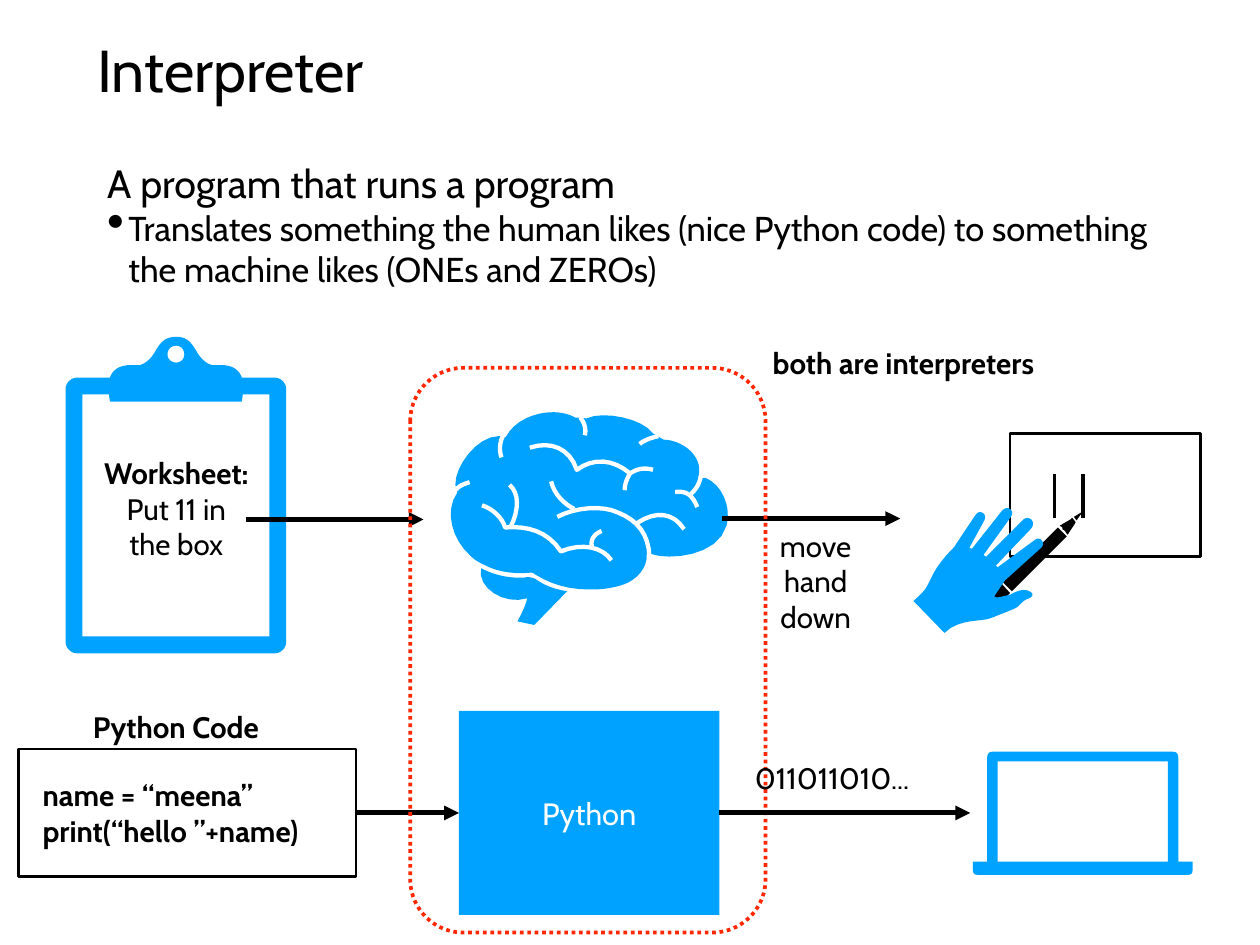
from lxml.etree import SubElement
from pptx import Presentation
from pptx.dml.color import RGBColor
from pptx.enum.dml import MSO_LINE
from pptx.enum.shapes import MSO_CONNECTOR, MSO_SHAPE
from pptx.enum.text import MSO_ANCHOR, PP_ALIGN
from pptx.oxml.ns import qn
from pptx.util import Inches, Pt

BLACK = RGBColor(0x00, 0x00, 0x00)
WHITE = RGBColor(0xFF, 0xFF, 0xFF)
BLUE = RGBColor(0x00, 0xA2, 0xFF)
RED = RGBColor(0xFF, 0x26, 0x00)
FONT = "Cabin"
CURVE_STEPS = 8

# Icon outlines in inches: M starts a contour, L takes points, C takes triples.
CLIPBOARD = """
M 1.99,3.8 C 1.87,3.8 1.82,3.85 1.76,3.95 1.71,4.05 1.62,4.12 1.56,4.12
1.53,4.12 1.47,4.12 1.44,4.12 1.33,4.13 1.27,4.18 1.24,4.26 L 0.87,4.26
C 0.8,4.26 0.74,4.32 0.74,4.39 L 0.74,7.24 C 0.74,7.31 0.8,7.37 0.87,7.37
L 3.1,7.37 C 3.17,7.37 3.23,7.31 3.23,7.24 L 3.23,4.39
C 3.23,4.32 3.17,4.26 3.1,4.26 L 2.73,4.26 C 2.7,4.18 2.64,4.13 2.53,4.12
2.5,4.12 2.44,4.12 2.41,4.12 2.35,4.12 2.26,4.05 2.21,3.95 2.15,3.85 2.1,3.8 1.99,3.8
M 1.99,3.9 C 2.04,3.9 2.08,3.94 2.08,4 2.08,4.05 2.04,4.09 1.99,4.09
1.93,4.09 1.89,4.05 1.89,4 1.89,3.94 1.93,3.9 1.99,3.9
M 0.93,4.45 L 1.23,4.45 1.24,4.53 2.73,4.53 2.74,4.45 3.04,4.45 3.04,7.18 0.93,7.18
"""
BRAIN = """
M 6.24,4.65 C 6.03,4.65 5.8,4.75 5.71,4.93 L 5.63,4.92
C 5.38,4.92 5.13,5.27 5.14,5.47 L 5.16,5.56 C 5.01,5.77 5.11,6.09 5.3,6.26
5.33,6.29 5.36,6.32 5.44,6.36 5.65,6.48 5.89,6.47 5.99,6.46
6.01,6.46 6.03,6.47 6.04,6.48 6.08,6.5 6.3,6.66 6.68,6.65
6.78,6.65 6.89,6.64 7.02,6.6 7.18,6.55 7.31,6.41 7.3,6.25
L 7.35,6.25 C 7.55,6.32 8.1,6.28 8.2,5.93 8.26,5.71 8.14,5.46 7.96,5.39
L 7.88,5.4 C 7.9,5.3 7.9,5.22 7.83,5.13 7.76,5.03 7.61,4.96 7.49,4.96
L 7.37,4.89 C 7.25,4.72 6.81,4.63 6.62,4.72 L 6.49,4.71
C 6.42,4.67 6.33,4.65 6.24,4.65
"""
BRAIN_STEM = """
M 5.43,6.41 C 5.38,6.63 5.69,6.83 5.95,6.75 5.93,6.85 5.84,7.01 5.84,7.01
L 6.03,7.05 6.4,6.67 C 6.2,6.64 6.1,6.57 6.04,6.53 6.02,6.52 5.98,6.51 5.95,6.51
5.91,6.52 5.83,6.52 5.75,6.51 5.66,6.5 5.54,6.47 5.43,6.41
"""
UPPER_GROOVES = """
M 5.68,4.91 C 5.61,5.04 5.66,5.16 5.66,5.16
M 5.13,5.54 C 5.18,5.48 5.23,5.46 5.3,5.44
M 6.55,4.71 C 6.62,4.8 6.61,4.88 6.6,4.91
M 7.43,4.92 C 7.34,4.94 7.26,4.97 7.22,5.01
M 5.98,5.05 C 6.22,4.97 6.43,5.06 6.51,5.3
6.7,5.16 6.92,5.18 7.11,5.34 7.19,5.29 7.27,5.27 7.37,5.3
M 7.11,5.34 C 7.07,5.41 7.05,5.47 7.05,5.53
M 7.62,5.55 C 7.76,5.53 7.82,5.6 7.87,5.72
M 7.8,5.57 C 7.88,5.5 7.9,5.42 7.91,5.37
"""
LOWER_GROOVES = """
M 7.72,5.97 C 7.6,5.78 7.4,5.76 7.19,5.9
M 6.29,5.83 C 6.5,5.72 6.8,5.7 6.97,5.78 7.2,5.87 7.32,6.03 7.33,6.28
M 6.22,5.43 C 6.25,5.57 6.37,5.69 6.48,5.74
M 5.75,5.47 C 5.86,5.56 5.86,5.75 5.76,5.95
M 5.44,5.7 C 5.56,5.74 5.67,5.84 5.7,5.95 5.95,5.93 6.18,5.99 6.33,6.22
6.57,6.12 6.8,6.17 6.9,6.32
M 6.68,6.16 C 6.66,6.09 6.71,6.02 6.79,5.99
"""
PEN = """
M 11.18,6.86 C 11.19,6.88 11.21,6.88 11.23,6.86 L 11.27,6.82 11.17,6.72 11.12,6.76
C 11.11,6.78 11.11,6.8 11.12,6.81
M 11.28,6.8 L 11.4,6.69 11.3,6.58 11.18,6.7
M 11.42,6.67 L 12.04,6.05 11.94,5.95 11.32,6.57
M 12.04,6.02 L 12.05,6.03 12.13,5.91 12.14,5.89 12.1,5.84 12.08,5.86 11.96,5.93
11.99,5.95 11.99,5.97 12.02,5.99 12.03,6.01
M 12.15,5.87 L 12.22,5.77 12.12,5.83
"""
HAND = """
M 11.64,5.86 C 11.61,5.84 11.58,5.83 11.54,5.87 L 11.13,6.28 11.1,6.26 11.41,5.83
C 11.46,5.76 11.37,5.69 11.31,5.76 L 10.97,6.19 10.94,6.18 11.11,5.87
C 11.15,5.79 11.05,5.74 11.01,5.81 10.99,5.84 10.86,6.03 10.77,6.17
10.52,6.42 10.52,6.53 10.44,6.65 10.39,6.71 10.31,6.78 10.31,6.78 L 10.66,7.14
C 10.83,6.97 11.08,7.02 11.19,6.97 11.19,6.97 11.37,6.9 11.44,6.87
11.46,6.86 11.48,6.85 11.49,6.84 11.52,6.81 11.57,6.76 11.59,6.76
11.65,6.74 11.68,6.7 11.62,6.67 11.54,6.62 11.4,6.71 11.4,6.71
L 11.26,6.74 11.22,6.73 11.34,6.55 11.75,6.18 C 11.81,6.13 11.74,6.04 11.68,6.09
L 11.26,6.4 11.24,6.38 11.64,5.96 C 11.67,5.92 11.66,5.88 11.64,5.86
"""
LAPTOP = """
M 11.2,8.48 C 11.14,8.48 11.14,8.53 11.14,8.59 L 11.14,9.72 10.98,9.72 10.98,9.8
C 10.98,9.87 11,9.87 11.08,9.87 L 13.36,9.87 C 13.44,9.87 13.46,9.87 13.46,9.8
L 13.46,9.72 13.3,9.72 13.3,8.59 C 13.3,8.53 13.3,8.48 13.24,8.48
M 11.26,8.59 L 13.18,8.59 13.18,9.72 11.26,9.72
"""


def curve(start, controls):
    """Return points along a cubic Bezier curve, without its start."""
    corners = [start, *controls]
    points = []
    for step in range(1, CURVE_STEPS + 1):
        t = step / CURVE_STEPS
        weights = ((1 - t) ** 3, 3 * t * (1 - t) ** 2, 3 * t * t * (1 - t), t ** 3)
        points.append(tuple(sum(w * c[axis] for w, c in zip(weights, corners))
                            for axis in (0, 1)))
    return points


def trace(contour):
    """Turn one contour of an outline into a list of points in EMU."""
    points, controls, command = [], [], "L"
    for token in contour.split():
        if token.isalpha():
            command = token
            continue
        point = tuple(float(number) for number in token.split(","))
        if command == "L":
            points.append(point)
            continue
        controls.append(point)
        if len(controls) == 3:
            points += curve(points[-1], controls)
            controls = []
    return [(Inches(x), Inches(y)) for x, y in points]


def draw_outline(page, outline, close=True):
    first, *others = [trace(contour) for contour in outline.split("M")[1:]]
    builder = page.shapes.build_freeform(*first[0], scale=1.0)
    builder.add_line_segments(first[1:], close=close)
    for points in others:
        builder.move_to(*points[0])
        builder.add_line_segments(points[1:], close=close)
    return builder.convert_to_shape()


def style_shape(shape, fill=None, line=None, width=2):
    shape.shadow.inherit = False
    if fill is None:
        shape.fill.background()
    else:
        shape.fill.solid()
        shape.fill.fore_color.rgb = fill
    if line is None:
        shape.line.fill.background()
    else:
        shape.line.color.rgb = line
        shape.line.width = Pt(width)
    return shape


def add_box(page, place, kind=MSO_SHAPE.RECTANGLE, **style):
    return style_shape(page.shapes.add_shape(kind, *map(Inches, place)), **style)


def write(box, lines, size=24, color=BLACK, align=PP_ALIGN.CENTER, bold_lines=0):
    """Fill a box with one paragraph a line; the first bold_lines are bold."""
    frame = box.text_frame
    frame.word_wrap = True
    frame.vertical_anchor = MSO_ANCHOR.MIDDLE
    frame.margin_left = frame.margin_right = Inches(0.06)
    frame.margin_top = frame.margin_bottom = Inches(0.06)
    for index, line in enumerate(lines):
        para = frame.paragraphs[0] if index == 0 else frame.add_paragraph()
        para.text = line
        para.alignment = align
        para.font.name = FONT
        para.font.size = Pt(size)
        para.font.color.rgb = color
        para.font.bold = index < bold_lines
    return frame


def add_text(page, place, *lines, **style):
    return write(page.shapes.add_textbox(*map(Inches, place)), lines, **style)


def add_line(page, start, end, width=4, arrow=True):
    line = page.shapes.add_connector(MSO_CONNECTOR.STRAIGHT, *map(Inches, start + end))
    line.line.color.rgb = BLACK
    line.line.width = Pt(width)
    if arrow:
        SubElement(line._element.spPr.find(qn("a:ln")), qn("a:tailEnd"), type="triangle")
    SubElement(line._element.spPr, qn("a:effectLst"))
    return line


def add_summary(page):
    frame = add_text(
        page, (1.04, 1.74, 12.14, 1.94), "A program that runs a program",
        "Translates something the human likes (nice Python code) to something "
        "the machine likes (ONEs and ZEROs)", size=32, align=PP_ALIGN.LEFT)
    frame.vertical_anchor = MSO_ANCHOR.TOP
    for para in frame.paragraphs:
        properties = para._p.get_or_add_pPr()
        properties.set("marL", str(Inches(0.35)))
        properties.set("indent", str(Inches(-0.24)))
    bullet = frame.paragraphs[1]
    bullet.font.size = Pt(28)
    properties = bullet._p.pPr
    marks = [SubElement(properties, qn("a:buSzPct"), val="145000"),
             SubElement(properties, qn("a:buChar"), char="•")]
    for position, mark in enumerate(marks):
        properties.insert(position, mark)


def main():
    deck = Presentation()
    deck.slide_width, deck.slide_height = Inches(14.22), Inches(10.66)
    page = deck.slides.add_slide(deck.slide_layouts[6])

    add_box(page, (11.4, 4.89, 2.15, 1.39), fill=WHITE, line=BLACK)
    add_text(page, (1.04, 0.28, 12.14, 0.99), "Interpreter", size=48, align=PP_ALIGN.LEFT)
    add_summary(page)

    for outline, color in ((BRAIN, BLUE), (BRAIN_STEM, BLUE), (PEN, BLACK),
                           (HAND, BLUE), (CLIPBOARD, BLUE), (LAPTOP, BLUE)):
        style_shape(draw_outline(page, outline), fill=color)
    for grooves in (UPPER_GROOVES, LOWER_GROOVES):
        style_shape(draw_outline(page, grooves, close=False), line=WHITE, width=3.5)
    add_text(page, (0.98, 5.08, 2.02, 1.31), "Worksheet:", "Put 11 in", "the box",
             bold_lines=1)
    add_line(page, (2.78, 5.86), (4.78, 5.86))
    add_line(page, (8.15, 5.85), (10.16, 5.85))
    add_text(page, (8.71, 5.9, 0.99, 1.31), "move", "hand", "down")
    for x in (11.9, 12.22):
        add_line(page, (x, 5.84), (x, 5.35), width=3, arrow=False)

    python = add_box(page, (5.18, 8.02, 2.94, 2.3), fill=BLUE)
    write(python, ["Python"], size=25, color=WHITE)
    code = add_box(page, (0.21, 8.45, 3.81, 1.44), line=BLACK)
    add_text(page, (0.42, 8.71, 3.51, 0.91), "name = “meena”", "print(“hello ”+name)",
             align=PP_ALIGN.LEFT, bold_lines=2)
    add_text(page, (0.88, 7.94, 2.21, 0.51), "Python Code", bold_lines=1)
    code_arrow = add_line(page, (4.02, 9.17), (5.18, 9.17))
    code_arrow.begin_connect(code, 3)
    code_arrow.end_connect(python, 1)

    frame = add_box(page, (4.63, 4.15, 4.01, 6.37), MSO_SHAPE.ROUNDED_RECTANGLE,
                    line=RED, width=3)
    frame.adjustments[0] = 0.15
    frame.line.dash_style = MSO_LINE.ROUND_DOT
    add_text(page, (8.37, 3.84, 3.65, 0.51), "both are interpreters", bold_lines=1)
    add_line(page, (8.12, 9.17), (10.95, 9.17)).begin_connect(python, 3)
    add_text(page, (8.34, 8.52, 2.1, 0.51), "011011010...")
    deck.save("out.pptx")


if __name__ == "__main__":
    main()
